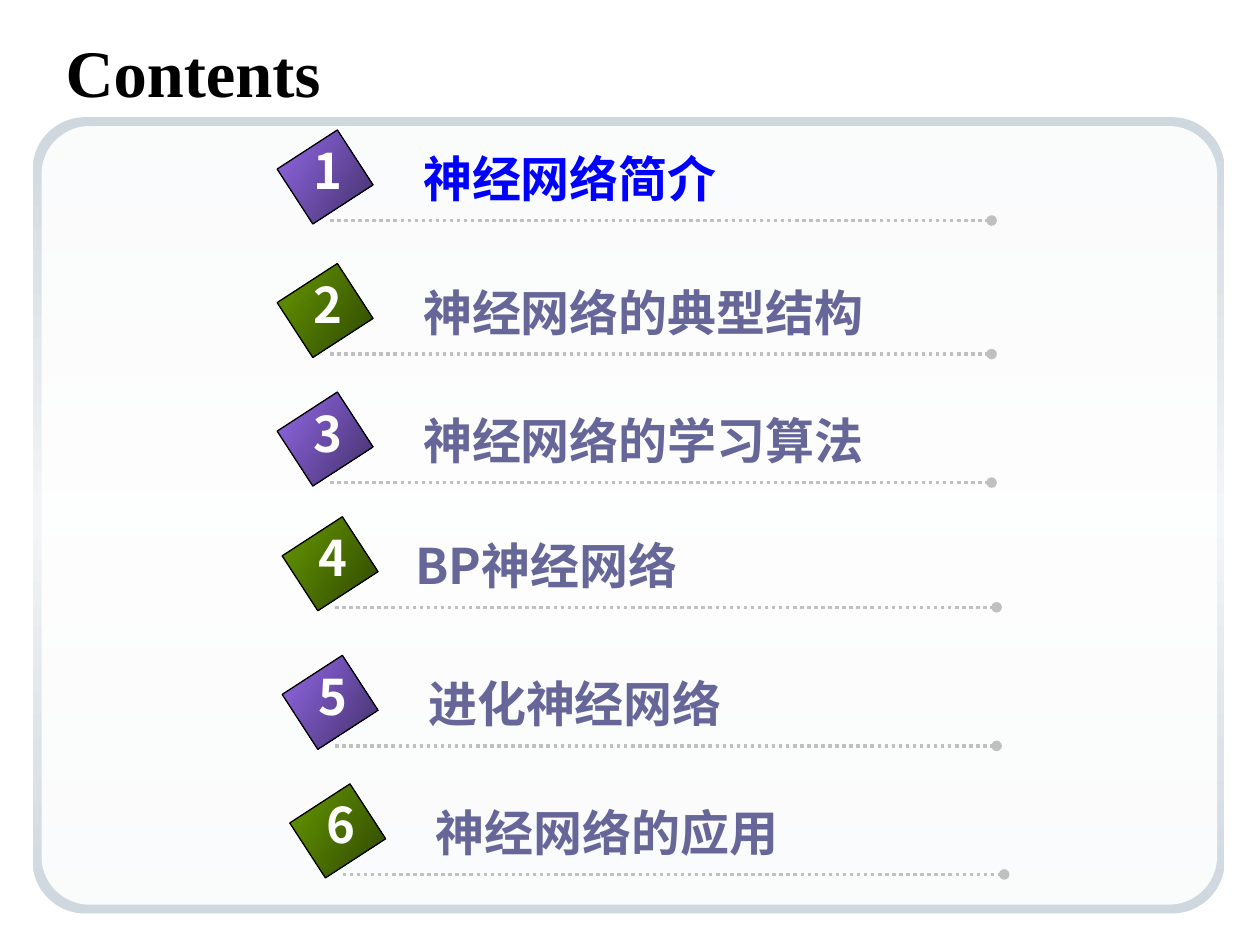
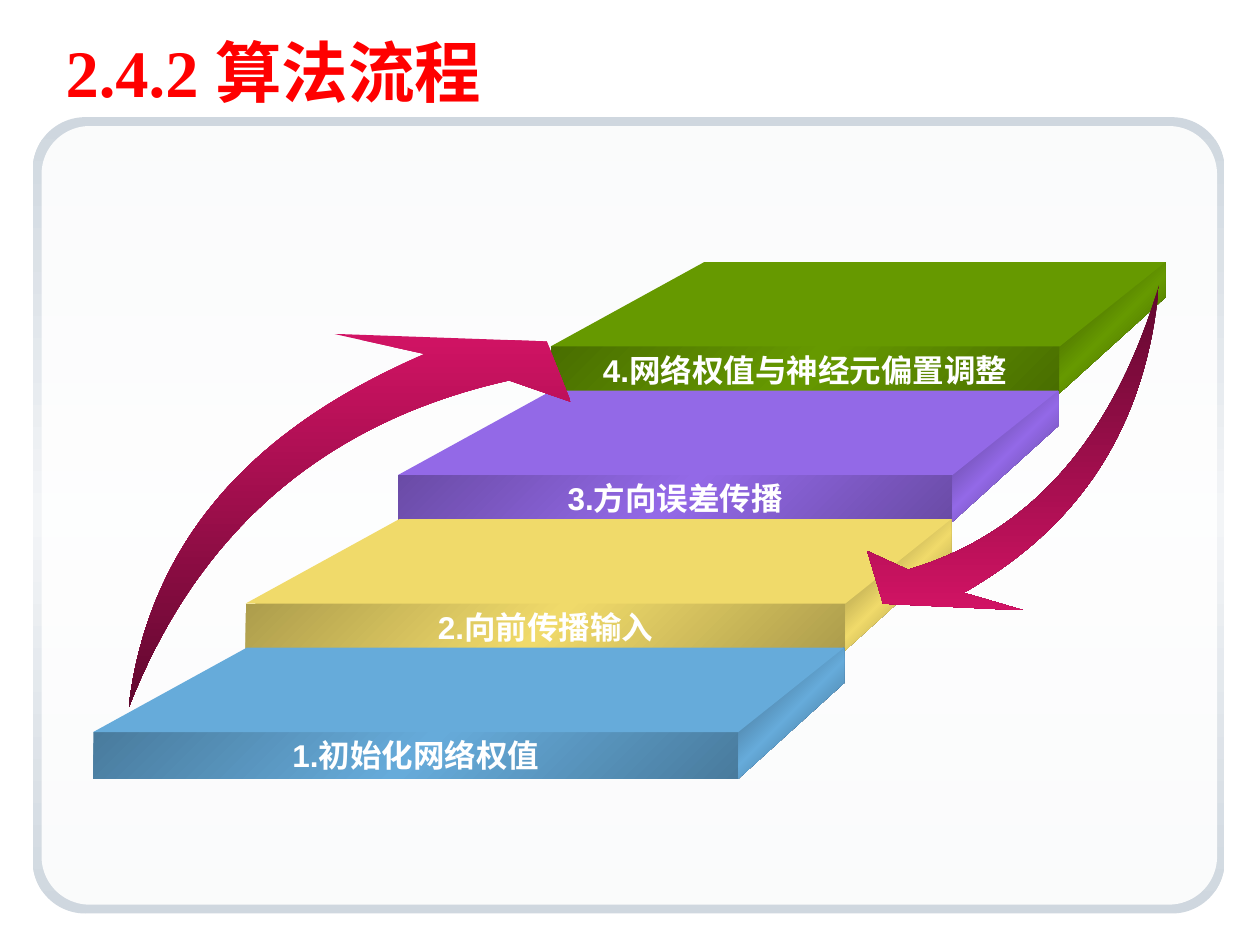
from lxml.etree import SubElement
from pptx import Presentation
from pptx.dml.color import RGBColor
from pptx.enum.dml import MSO_LINE
from pptx.enum.shapes import MSO_CONNECTOR, MSO_SHAPE
from pptx.enum.text import MSO_ANCHOR, MSO_AUTO_SIZE, PP_ALIGN
from pptx.oxml.ns import qn
from pptx.util import Inches, Pt

HAN = "Noto Sans CJK SC"
BLACK, WHITE, RED, BLUE = "000000", "FFFFFF", "FF0000", "0000FF"
SLATE, SILVER, MIST, PALE = "666699", "C0C0C0", "CFD7DF", "F3F5F7"
GREEN, PURPLE, YELLOW, SKY = "669900", "9369E7", "F0DA6A", "66ABDA"
MOSS, PLUM, OLIVE, NAVY = "2F4600", "43306A", "6E6430", "2F4E64"
PINK, WINE = "D11364", "60082E"


def paint(shape, hues, angle=0):
    """Fill with one colour, or with evenly spaced gradient stops; no line."""
    shape.shadow.inherit = False
    shape.line.fill.background()
    if len(hues) == 1:
        shape.fill.solid()
        shape.fill.fore_color.rgb = RGBColor.from_string(hues[0])
        return
    shape.fill.gradient()
    shape.fill.gradient_angle = -angle % 360
    grad = shape.element.spPr.find(qn("a:gradFill"))
    grad.set("rotWithShape", "0")
    stops = grad.find(qn("a:gsLst"))
    for stop in list(stops):
        stops.remove(stop)
    for i, hue in enumerate(hues):
        stop = SubElement(stops, qn("a:gs"), pos=str(100000 * i // (len(hues) - 1)))
        SubElement(stop, qn("a:srgbClr"), val=hue)


def write(shape, text, size, hue, font=HAN, align=PP_ALIGN.LEFT, wrap=False):
    """Set one bold line of text."""
    frame = shape.text_frame
    frame.text = text
    frame.word_wrap = wrap
    para = frame.paragraphs[0]
    para.alignment = align
    run = para.runs[0]
    run.font.size = Pt(size)
    run.font.bold = True
    run.font.name = font
    run.font.color.rgb = RGBColor.from_string(hue)
    SubElement(run.font._element, qn("a:ea"), typeface=HAN)


deck = Presentation()
deck.slide_width, deck.slide_height = Inches(10), Inches(7.5)
layout = deck.slide_layouts[5]

# Shared title place
base = layout.placeholders[0]
base.left, base.top = Inches(0.42), Inches(0.25)
base.width, base.height = Inches(9.33), Inches(0.62)
base.text_frame.vertical_anchor = MSO_ANCHOR.MIDDLE
base.text_frame.auto_size = MSO_AUTO_SIZE.NONE

# Slides and titles
pages = []
for text, hue in [("Contents", BLACK), ("2.4.2 算法流程", RED)]:
    page = deck.slides.add_slide(layout)
    write(page.shapes.title, text, 38, hue, "Times New Roman", wrap=True)
    pages.append(page.shapes)
menu, flow = pages

# Shared frame, moved to the layout behind everything
FRAME = [
    (0.26, 0.93, 9.46, 6.32, 0.066, [MIST, PALE, MIST]),
    (0.33, 1, 9.33, 6.18, 0.062, [WHITE]),
]
for i, (x, y, wide, high, bend, hues) in enumerate(FRAME):
    panel = menu.add_shape(MSO_SHAPE.ROUNDED_RECTANGLE,
                           Inches(x), Inches(y), Inches(wide), Inches(high))
    panel.adjustments[0] = bend
    paint(panel, hues, 90)
    layout.shapes.element.insert(2 + i, panel.element)
sheet = panel.element.spPr.find(qn("a:solidFill")).find(qn("a:srgbClr"))
SubElement(sheet, qn("a:alpha"), val="90000")

# Contents: text, line start, line height, label left, label width
ITEMS = [
    ("神经网络简介", 2.62, 1.75, 3.26, 2.62),
    ("神经网络的典型结构", 2.62, 2.81, 3.26, 3.78),
    ("神经网络的学习算法", 2.62, 3.83, 3.26, 3.78),
    ("BP神经网络", 2.66, 4.82, 3.2, 2.44),
    ("进化神经网络", 2.66, 5.92, 3.3, 2.62),
    ("神经网络的应用", 2.72, 6.94, 3.36, 3),
]
GEMS = [[PURPLE, PLUM], [GREEN, MOSS]]
for i, (text, x, y, left, wide) in enumerate(ITEMS):
    # Dotted rule with a round end
    rule = menu.add_connector(MSO_CONNECTOR.STRAIGHT,
                              Inches(x), Inches(y), Inches(x + 5.25), Inches(y))
    rule.line.color.rgb = RGBColor.from_string(SILVER)
    rule.line.width = Pt(2)
    rule.line.dash_style = MSO_LINE.ROUND_DOT
    SubElement(rule.line._get_or_add_ln(), qn("a:tailEnd"), type="oval")
    SubElement(rule.element.spPr, qn("a:effectLst"))

    # Tilted gem, label and number
    gem = menu.add_shape(MSO_SHAPE.RECTANGLE, Inches(x - 0.3), Inches(y - 0.63),
                         Inches(0.52), Inches(0.57))
    gem.rotation = 57
    paint(gem, GEMS[i % 2], 33)
    gem.line.color.rgb = RGBColor.from_string(BLACK)
    gem.line.width = Pt(0.75)
    label = menu.add_textbox(Inches(left), Inches(y - 0.62), Inches(wide), Inches(0.57))
    write(label, text, 28, SLATE if i else BLUE)
    digit = menu.add_textbox(Inches(x - 0.23), Inches(y - 0.68), Inches(0.42), Inches(0.57))
    write(digit, str(i + 1), 28, WHITE, align=PP_ALIGN.CENTER)

# Stairs, from the top step down: text, face, front edge, side edge
STEPS = [
    ("4.网络权值与神经元偏置调整", GREEN, "496E00", MOSS),
    ("3.方向误差传播", PURPLE, "6A4BA6", PLUM),
    ("2.向前传播输入", YELLOW, "AD9D4C", OLIVE),
    ("1.初始化网络权值", SKY, "497B9D", NAVY),
]
THICK, DEPTH = 0.37, 0.67      # front height, height of the slanted top
SLANT, LEAN = 1.22, 0.84       # shift of the back edge at its left and right end
DROP = 0.28                    # height of the side at the back
outlines = []                  # corners, colours, gradient angle
for i, (text, face, edge, dark) in enumerate(STEPS):
    left, right, y = 4.37 - 1.21 * i, 8.41 - 0.85 * i, 2.75 + 1.02 * i
    back, end = y - DEPTH, right + LEAN
    front = flow.add_shape(MSO_SHAPE.RECTANGLE, Inches(left), Inches(y),
                           Inches(right - left), Inches(THICK))
    paint(front, [edge, face, edge], 225)
    front.text_frame.vertical_anchor = MSO_ANCHOR.MIDDLE
    write(front, text, 18, WHITE, "Arial", PP_ALIGN.CENTER)
    side = [(right, y), (right, y + THICK), (end, back + DROP), (end, back)]
    top = [(right, y), (left, y), (left + SLANT, back), (end, back)]
    outlines += [(side, [dark, face, dark], 225), (top, [face], 225)]

# Curved arrow: two cubic Bezier edges (start, two controls, end) and a head
TAIL = (1.02, 5.62)
OUTER = [TAIL, (1.21, 4.02), (2.36, 3.25), (3.37, 2.81)]
HEAD = [(2.65, 2.65), (4.34, 2.71), (4.53, 3.19)]
INNER = [(4.04, 3.02), (2.88, 3.28), (1.67, 3.95), TAIL]
PARTS = 40
edges = []
for curve in (OUTER, INNER):
    edge = []
    for n in range(PARTS + 1):
        t = n / PARTS
        mix = [(1 - t) ** 3, 3 * t * (1 - t) ** 2, 3 * t ** 2 * (1 - t), t ** 3]
        edge.append([sum(m * v for m, v in zip(mix, axis)) for axis in zip(*curve)])
    edges.append(edge)
arrow = edges[0] + HEAD + edges[1]

# The arrow is used twice: tail place, scale (negative turns it round), colours
TURNS = [
    (9.2, 2.26, -0.66, -0.87, [WINE, PINK]),
    (*TAIL, 1, 1, [PINK, WINE]),
]
for x, y, wide, high, hues in TURNS:
    spots = [(x + wide * (px - TAIL[0]), y + high * (py - TAIL[1])) for px, py in arrow]
    outlines.append((spots, hues, 90))

# Draw the step sides, step tops and arrows
for spots, hues, angle in outlines:
    spots = [(Inches(px), Inches(py)) for px, py in spots]
    pen = flow.build_freeform(*spots[0])
    pen.add_line_segments(spots[1:])
    paint(pen.convert_to_shape(), hues, angle)

deck.save("out.pptx")
